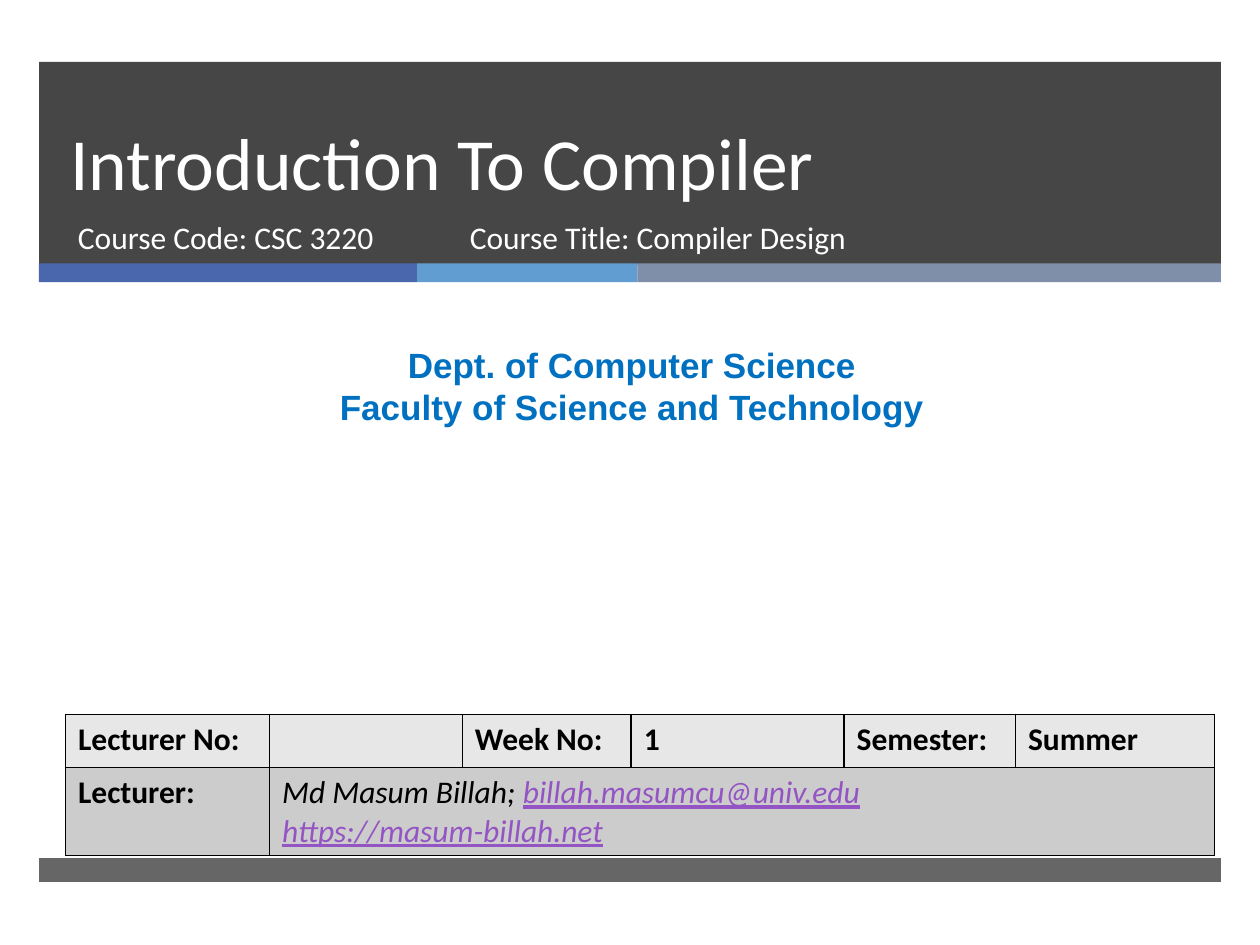
"""Build the title slide of a compiler design course."""
from lxml.etree import SubElement
from pptx import Presentation
from pptx.dml.color import RGBColor
from pptx.enum.shapes import MSO_SHAPE
from pptx.enum.text import MSO_ANCHOR, PP_ALIGN
from pptx.oxml import parse_xml
from pptx.oxml.ns import nsdecls, qn
from pptx.util import Inches, Pt

WHITE = RGBColor(0xFF, 0xFF, 0xFF)
BLACK = RGBColor(0x00, 0x00, 0x00)
CHARCOAL = RGBColor(0x26, 0x26, 0x26)
INDIGO = RGBColor(0x4A, 0x66, 0xAC)
SKY = RGBColor(0x62, 0x9D, 0xD1)
SLATE = RGBColor(0x7F, 0x8F, 0xA9)
BLUE = RGBColor(0x00, 0x70, 0xC0)
VIOLET = RGBColor(0x94, 0x54, 0xC3)
LIGHT_GREY = RGBColor(0xE7, 0xE7, 0xE7)
MID_GREY = RGBColor(0xCC, 0xCC, 0xCC)

presentation = Presentation()
presentation.slide_width = Inches(10)
presentation.slide_height = Inches(7.5)
slide = presentation.slides.add_slide(presentation.slide_layouts[6])
column = presentation.slide_width / 100
row = presentation.slide_height / 75


def place(left, top, width, height):
    return [int(left * column), int(top * row), int(width * column), int(height * row)]


def style(run, size, color, name="Calibri", bold=False, italic=False, underline=False):
    font = run.font
    font.size, font.name, font.color.rgb = Pt(size), name, color
    font.bold, font.italic, font.underline = bold, italic, underline


bands = [
    (3.1, 4.9, 93.8, 16.1, CHARCOAL, 85),
    (3.1, 20.9, 30, 1.5, INDIGO, 100),
    (33.1, 20.9, 17.5, 1.5, SKY, 100),
    (50.6, 20.9, 46.3, 1.5, SLATE, 100),
    (3.1, 68.1, 93.8, 1.9, CHARCOAL, 70),
]
for left, top, width, height, color, opacity in bands:
    band = slide.shapes.add_shape(MSO_SHAPE.RECTANGLE, *place(left, top, width, height))
    band.shadow.inherit = False
    band.fill.solid()
    band.fill.fore_color.rgb = color
    band.line.fill.background()
    if opacity < 100:
        tint = band.fill._xPr.find(qn("a:solidFill"))[0]
        SubElement(tint, qn("a:alpha")).set("val", str(opacity * 1000))

LEFT, CENTER = PP_ALIGN.LEFT, PP_ALIGN.CENTER
TOP, BOTTOM = MSO_ANCHOR.TOP, MSO_ANCHOR.BOTTOM
department = "Dept. of Computer Science\nFaculty of Science and Technology"
texts = [
    ("Introduction To Compiler", (4.6, 4.9, 85.4, 11.9), 42, "Calibri", WHITE, False, LEFT, BOTTOM, Pt(46)),
    ("Course Code: CSC 3220", (5.2, 16.8, 30.5, 5.3), 18, "Calibri", WHITE, False, LEFT, TOP, None),
    (department, (0.8, 26.8, 98.7, 7.7), 20, "Arial", BLUE, True, CENTER, TOP, Pt(24)),
    ("Course Title: Compiler Design", (36.3, 16.8, 45.5, 5.3), 18, "Calibri", WHITE, False, LEFT, TOP, None),
]
for text, area, size, name, color, bold, alignment, anchor, spacing in texts:
    text_frame = slide.shapes.add_textbox(*place(*area)).text_frame
    text_frame.word_wrap = True
    text_frame.vertical_anchor = anchor
    text_frame.text = text
    for paragraph in text_frame.paragraphs:
        paragraph.alignment = alignment
        paragraph.line_spacing = spacing
        style(paragraph.runs[0], size, color, name, bold)

table = slide.shapes.add_table(2, 6, *place(5.2, 56.7, 91.2, 11.1)).table
for table_column, width in zip(table.columns, [16.2, 15.3, 13.4, 16.9, 13.6, 15.8]):
    table_column.width = int(width * column)
for table_row, height in zip(table.rows, [4.2, 6.9]):
    table_row.height = int(height * row)
table.cell(1, 1).merge(table.cell(1, 5))

labels = [["Lecturer No:", "", "Week No:", "1", "Semester:", "Summer"], ["Lecturer:"] + [""] * 5]
for row_index, (row_labels, shade) in enumerate(zip(labels, [LIGHT_GREY, MID_GREY])):
    for column_index, label in enumerate(row_labels):
        cell = table.cell(row_index, column_index)
        cell.fill.solid()
        cell.fill.fore_color.rgb = shade
        properties = cell._tc.get_or_add_tcPr()
        for index, side in enumerate(["lnL", "lnR", "lnT", "lnB"]):
            properties.insert(index, parse_xml(
                f'<a:{side} {nsdecls("a")} w="12700"><a:solidFill>'
                f'<a:srgbClr val="{BLACK}"/></a:solidFill></a:{side}>'))
        if label:
            cell.text_frame.text = label
            style(cell.text_frame.paragraphs[0].runs[0], 18, BLACK, bold=True)

contact = table.cell(1, 1).text_frame
contact.text = "Md Masum Billah; \nhttps://masum-billah.net"
name_line, site_line = contact.paragraphs
style(name_line.runs[0], 18, BLACK, italic=True)
email = name_line.add_run()
email.text = "billah.masumcu@univ.edu"
for address in (email, site_line.runs[0]):
    style(address, 18, VIOLET, italic=True, underline=True)

presentation.save("out.pptx")
